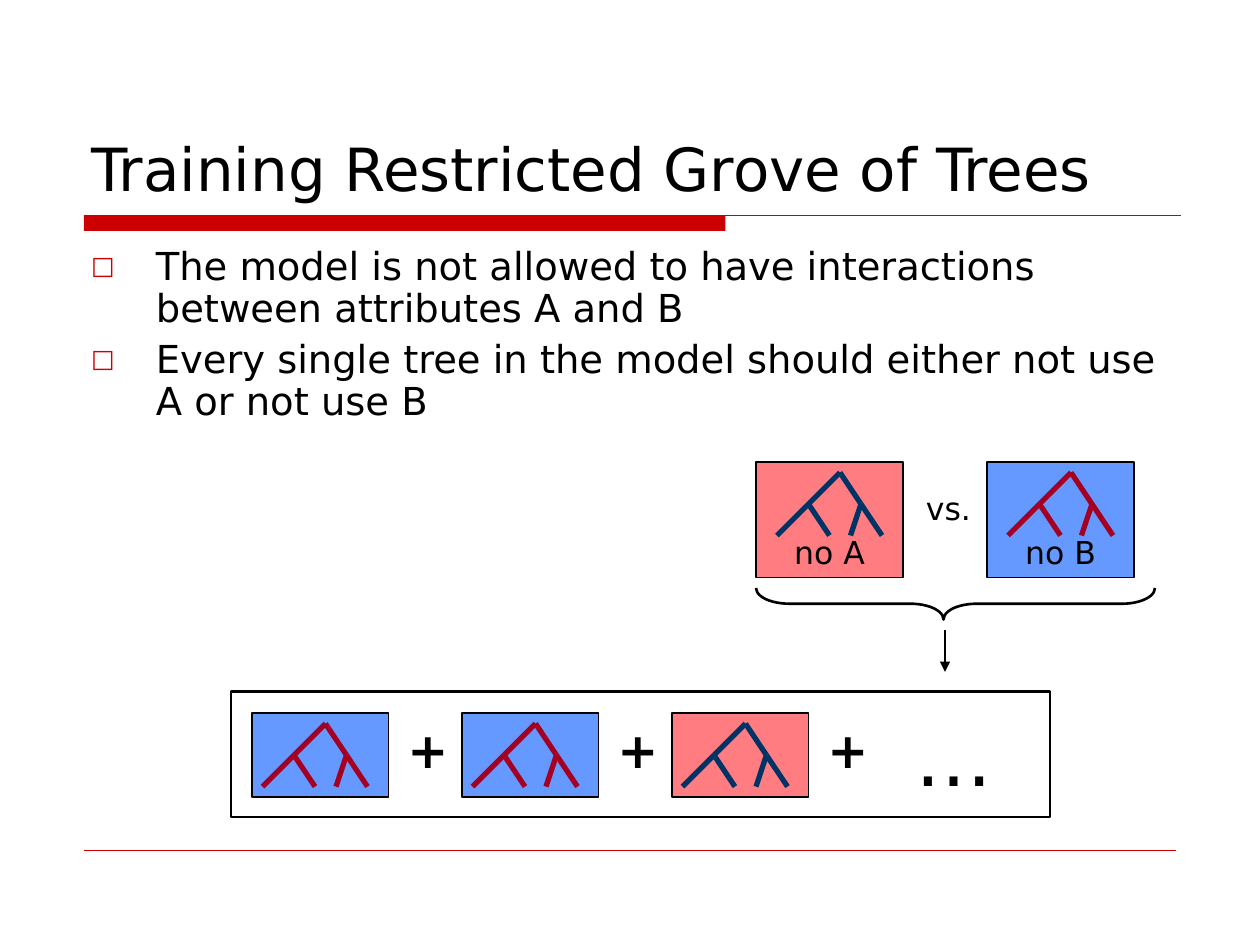
from lxml import etree
from pptx import Presentation
from pptx.dml.color import RGBColor
from pptx.enum.shapes import MSO_CONNECTOR, MSO_SHAPE
from pptx.enum.text import MSO_ANCHOR, MSO_AUTO_SIZE, PP_ALIGN
from pptx.oxml.ns import qn
from pptx.util import Pt

RECT, BRACE = MSO_SHAPE.RECTANGLE, MSO_SHAPE.RIGHT_BRACE
STRAIGHT = MSO_CONNECTOR.STRAIGHT
TOP, BOTTOM = MSO_ANCHOR.TOP, MSO_ANCHOR.BOTTOM
LEFT, CENTER = PP_ALIGN.LEFT, PP_ALIGN.CENTER
NO_AUTOFIT = MSO_AUTO_SIZE.NONE

THEME = {
    "font": "DejaVu Sans",
    "text": "000000", "accent": "CC0000",
    "title": 34, "body": 22, "label": 18, "plus": 28, "dots": 44,
}
TREE_KINDS = {
    "no A": {"fill": "FF7C80", "branch": "003366"},
    "no B": {"fill": "6699FF", "branch": "A50021"},
}

TITLE = "Training Restricted Grove of Trees"
BULLETS = [
    "The model is not allowed to have interactions between attributes A and B",
    "Every single tree in the model should either not use A or not use B",
]
CHOICES = ["no A", "no B"]
GROVE = ["no B", "no B", "no A"]

# Branches as (from, to), measured from the top of the tree
ROOT, LEFT_NODE, RIGHT_NODE = (0, 0), (-18, 18), (12, 18)
BRANCHES = [
    (ROOT, LEFT_NODE), (ROOT, RIGHT_NODE),
    (RIGHT_NODE, (6, 36)), (RIGHT_NODE, (24, 36)),
    (LEFT_NODE, (-36, 36)), (LEFT_NODE, (-6, 36)),
]
ROOT_DROP = 6

CHOICE_LEFT, CHOICE_TOP, CHOICE_PITCH = 432, 264, 132
CHOICE_SIZE, CHOICE_ROOT = (84, 66), 48
GROVE_LEFT, GROVE_TOP, GROVE_PITCH = 144, 407.5, 120
GROVE_SIZE, GROVE_ROOT = (78, 48), 42
PLUS_OFFSET, PLUS_WIDTH = 100.5, 42


def rgb(color):
    return RGBColor.from_string(color)


def write(sp, lines, size, align=LEFT, anchor=TOP, wrap=True, bold=False):
    tf = sp.text_frame
    frame = {"word_wrap": wrap, "auto_size": NO_AUTOFIT, "vertical_anchor": anchor,
             "margin_left": Pt(7.2), "margin_right": Pt(7.2),
             "margin_top": Pt(3.6), "margin_bottom": Pt(3.6)}
    for name, value in frame.items():
        setattr(tf, name, value)
    for i, line in enumerate(lines):
        p = tf.paragraphs[0] if i == 0 else tf.add_paragraph()
        p.alignment = align
        r = p.add_run()
        r.text = line
        for name, value in {"name": THEME["font"], "size": Pt(size), "bold": bold}.items():
            setattr(r.font, name, value)
        r.font.color.rgb = rgb(THEME["text"])
    return tf


def add_text(s, box, lines, size, **options):
    return write(s.shapes.add_textbox(*map(Pt, box)), lines, size, **options)


def add_shape(s, kind, box, fill=None, line=None, width=0.75):
    sp = s.shapes.add_shape(kind, *map(Pt, box))
    sp.shadow.inherit = False
    if fill:
        sp.fill.solid()
        sp.fill.fore_color.rgb = rgb(fill)
    else:
        sp.fill.background()
    if line:
        sp.line.color.rgb = rgb(line)
        sp.line.width = Pt(width)
    else:
        sp.line.fill.background()
    return sp


def add_line(s, start, end, color, width, arrow=False):
    c = s.shapes.add_connector(STRAIGHT, *map(Pt, (*start, *end)))
    c.line.color.rgb = rgb(color)
    c.line.width = Pt(width)
    if arrow:
        etree.SubElement(c.line._get_or_add_ln(), qn("a:tailEnd"), type="triangle")
    etree.SubElement(c._element.spPr, qn("a:effectLst"))


def add_bullet(p):
    pPr = p._p.get_or_add_pPr()
    pPr.set("marL", str(Pt(37)))
    pPr.set("indent", str(-Pt(37)))
    color = etree.SubElement(pPr, qn("a:buClr"))
    etree.SubElement(color, qn("a:srgbClr"), val=THEME["accent"])
    etree.SubElement(pPr, qn("a:buSzPct"), val="65000")
    etree.SubElement(pPr, qn("a:buFont"), typeface=THEME["font"])
    etree.SubElement(pPr, qn("a:buChar"), char="□")


def add_tree_card(s, kind, x, y, size, root_offset):
    colors = TREE_KINDS[kind]
    sp = add_shape(s, RECT, (x, y, *size), colors["fill"], THEME["text"])
    root_x, root_y = x + root_offset, y + ROOT_DROP
    for (x1, y1), (x2, y2) in BRANCHES:
        add_line(s, (root_x + x1, root_y + y1), (root_x + x2, root_y + y2),
                 colors["branch"], 3)
    return sp


def add_heading(s):
    add_shape(s, RECT, (48, 123, 366.5, 9), THEME["accent"])
    add_line(s, (48, 123), (675, 123), THEME["accent"], 0.75)
    add_line(s, (48, 486), (672, 486), THEME["accent"], 0.25)
    title = s.shapes.title
    for name, value in {"left": 45, "top": 24, "width": 630, "height": 96}.items():
        setattr(title, name, Pt(value))
    write(title, [TITLE], THEME["title"], anchor=BOTTOM)


def add_bullets(s):
    tf = add_text(s, (45, 138, 630, 114), BULLETS, THEME["body"])
    for i, p in enumerate(tf.paragraphs):
        add_bullet(p)
        p.line_spacing = 0.9
        p.space_before = Pt(5.5 if i else 0)


def add_choices(s):
    for i, kind in enumerate(CHOICES):
        sp = add_tree_card(s, kind, CHOICE_LEFT + i * CHOICE_PITCH, CHOICE_TOP,
                           CHOICE_SIZE, CHOICE_ROOT)
        write(sp, [kind], THEME["label"], align=CENTER, anchor=BOTTOM, wrap=False)
    add_text(s, (522, 276, 48, 29), ["vs."], THEME["label"])
    brace = add_shape(s, BRACE, (537, 231, 18, 228), line=THEME["text"], width=1.5)
    brace.rotation = 90
    brace.adjustments[0] = 1.05
    brace.adjustments[1] = 0.53
    add_line(s, (540, 360), (540, 384), THEME["text"], 1.5, arrow=True)


def add_grove(s):
    add_shape(s, RECT, (132, 395, 468, 72), line=THEME["text"], width=1.5)
    for i, kind in enumerate(GROVE):
        x = GROVE_LEFT + i * GROVE_PITCH
        add_tree_card(s, kind, x, GROVE_TOP, GROVE_SIZE, GROVE_ROOT)
        add_text(s, (x + PLUS_OFFSET - PLUS_WIDTH / 2, GROVE_TOP, PLUS_WIDTH, 41),
                 ["+"], THEME["plus"], align=CENTER, bold=True)
    add_text(s, (516, 402, 54, 60), ["…"], THEME["dots"], align=CENTER)


def main():
    prs = Presentation()
    prs.slide_width, prs.slide_height = Pt(720), Pt(540)
    s = prs.slides.add_slide(prs.slide_layouts[5])
    add_heading(s)
    add_bullets(s)
    add_choices(s)
    add_grove(s)
    prs.save("out.pptx")


if __name__ == "__main__":
    main()
